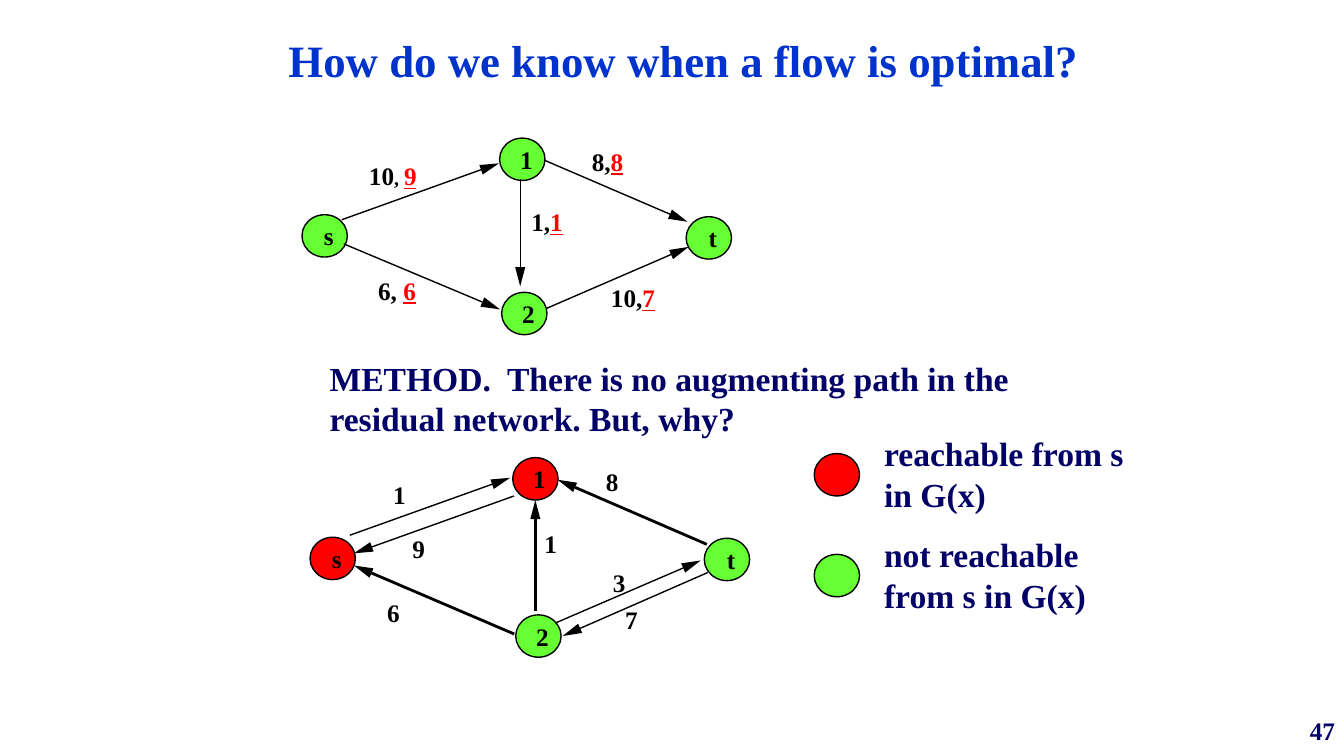
"""Build the slide on optimal flows and residual networks."""
from math import hypot

from lxml.etree import SubElement
from pptx import Presentation
from pptx.dml.color import RGBColor
from pptx.enum.shapes import MSO_CONNECTOR, MSO_SHAPE
from pptx.enum.text import MSO_ANCHOR, MSO_AUTO_SIZE, PP_ALIGN
from pptx.oxml.ns import qn
from pptx.util import Inches, Pt

FONT = "Times New Roman"
BLACK, RED, GREEN = "000000", "FF0000", "66FF33"
NAVY, BLUE = "000066", "0033CC"
HEAD, HALF = 0.19, 0.05
NODE = (0.45, 0.42)

TITLE = "How do we know when a flow is optimal?"
METHOD = "METHOD.  There is no augmenting path in the residual network. But, why?"
PAGE = "47"

# Nodes: name, centre x, centre y, fill
NODES = [
    ("s", 3.22, 2.34, GREEN), ("1", 5.18, 1.58, GREEN),
    ("2", 5.2, 3.11, GREEN), ("t", 7.03, 2.36, GREEN),
    ("s", 3.3, 5.54, RED), ("1", 5.31, 4.75, RED),
    ("2", 5.34, 6.31, GREEN), ("t", 7.21, 5.55, GREEN),
]

# Edges: start, tip, line width
EDGES = [
    ((3.39, 2.18), (4.95, 1.62), 1), ((3.41, 2.42), (4.96, 3.07), 1),
    ((5.4, 1.59), (6.82, 2.2), 1), ((5.42, 3.06), (6.83, 2.45), 1),
    ((5.16, 1.78), (5.16, 2.84), 1),
    ((3.47, 5.31), (5.06, 4.74), 1), ((5.1, 4.92), (3.51, 5.49), 1),
    ((5.1, 6.29), (3.51, 5.61), 2), ((7.01, 5.4), (5.53, 4.76), 2),
    ((5.51, 6.18), (6.95, 5.56), 1), ((7.02, 5.68), (5.58, 6.31), 1),
    ((5.31, 6.06), (5.31, 4.96), 2),
]

# Flow labels: left, top, capacity, separator, separator size, flow
FLOWS = [
    (3.66, 1.59, "10", ", ", 14, "9"), (5.87, 1.45, "8", ",", 18, "8"),
    (5.27, 2.05, "1", ",", 18, "1"), (6.06, 2.8, "10", ",", 18, "7"),
    (3.75, 2.73, "6", ", ", 18, "6"),
]

# Residual labels: left, top, capacity
RESTS = [
    (3.9, 4.76, "1"), (4.09, 5.29, "9"), (6.01, 4.63, "8"), (5.4, 5.24, "1"),
    (6.08, 5.63, "3"), (6.2, 6, "7"), (3.84, 5.93, "6"),
]

# Legend: centre y, fill, text, text width
KEYS = [
    (4.71, RED, "reachable from s in G(x)", 2.58),
    (5.71, GREEN, "not reachable from s in G(x)", 2.5),
]


def color(code):
    return RGBColor.from_string(code)


def style(font, size, code):
    font.name, font.size, font.bold = FONT, Pt(size), True
    font.color.rgb = color(code)


def add_text(slide, box, text, size, code, align=PP_ALIGN.LEFT,
             anchor=MSO_ANCHOR.TOP, wrap=True):
    frame = slide.shapes.add_textbox(*map(Inches, box)).text_frame
    frame.word_wrap, frame.vertical_anchor = wrap, anchor
    para = frame.paragraphs[0]
    para.text, para.alignment = text, align
    style(para.font, size, code)
    return frame


def add_label(slide, x, y, text, width=0.13):
    frame = add_text(slide, (x, y, width, 0.4), text, 18, BLACK, wrap=False)
    frame.margin_left = frame.margin_right = 0
    frame.margin_top = frame.margin_bottom = 0
    frame.auto_size = MSO_AUTO_SIZE.SHAPE_TO_FIT_TEXT
    return frame.paragraphs[0]


def add_flow(slide, x, y, cap, sep, size, flow):
    para = add_label(slide, x, y, cap, 0.5)
    comma = para.add_run()
    comma.text, comma.font.size = sep, Pt(size)
    mark = para.add_run()
    mark.text, mark.font.underline = flow, True
    mark.font.color.rgb = color(RED)


def add_node(slide, name, x, y, fill):
    wide, high = NODE
    box = (x - wide / 2, y - high / 2, wide, high)
    node = slide.shapes.add_shape(MSO_SHAPE.OVAL, *map(Inches, box))
    node.shadow.inherit = False
    node.fill.solid()
    node.fill.fore_color.rgb = color(fill)
    node.line.color.rgb, node.line.width = color(BLACK), Pt(1)
    if name:
        frame = node.text_frame
        frame.word_wrap, frame.vertical_anchor = False, MSO_ANCHOR.MIDDLE
        frame.margin_left, frame.margin_right = Inches(0.08), 0
        frame.margin_top = frame.margin_bottom = 0
        para = frame.paragraphs[0]
        para.text, para.alignment = name, PP_ALIGN.CENTER
        style(para.font, 18, BLACK)


def add_edge(slide, start, tip, width):
    dx, dy = tip[0] - start[0], tip[1] - start[1]
    span = hypot(dx, dy)
    ux, uy = dx / span, dy / span
    base = (tip[0] - HEAD * ux, tip[1] - HEAD * uy)
    line = slide.shapes.add_connector(
        MSO_CONNECTOR.STRAIGHT, *map(Inches, start + base))
    line.line.color.rgb, line.line.width = color(BLACK), Pt(width)
    SubElement(line._element.spPr, qn("a:effectLst"))
    wings = [(base[0] - side * uy, base[1] + side * ux)
             for side in (HALF, -HALF)]
    path = slide.shapes.build_freeform(*map(Inches, tip))
    path.add_line_segments([(Inches(x), Inches(y)) for x, y in wings])
    head = path.convert_to_shape()
    head.shadow.inherit = False
    head.fill.solid()
    head.fill.fore_color.rgb = color(BLACK)
    head.line.fill.background()


def main():
    deck = Presentation()
    deck.slide_width, deck.slide_height = Inches(13.33), Inches(7.5)
    slide = deck.slides.add_slide(deck.slide_layouts[6])
    add_text(slide, (0.56, 0.33, 12.44, 0.58), TITLE, 32, BLUE,
             PP_ALIGN.CENTER, MSO_ANCHOR.BOTTOM)
    add_text(slide, (3.17, 3.5, 7.42, 0.91), METHOD, 24, NAVY)
    add_text(slide, (10.78, 7, 2.56, 0.5), PAGE, 18, NAVY,
             PP_ALIGN.RIGHT, MSO_ANCHOR.MIDDLE)
    for node in NODES:
        add_node(slide, *node)
    for edge in EDGES:
        add_edge(slide, *edge)
    for flow in FLOWS:
        add_flow(slide, *flow)
    for rest in RESTS:
        add_label(slide, *rest)
    for y, fill, text, width in KEYS:
        add_node(slide, "", 8.3, y, fill)
        add_text(slide, (8.67, y - 0.46, width, 0.91), text, 24, NAVY)
    deck.save("out.pptx")


if __name__ == "__main__":
    main()
